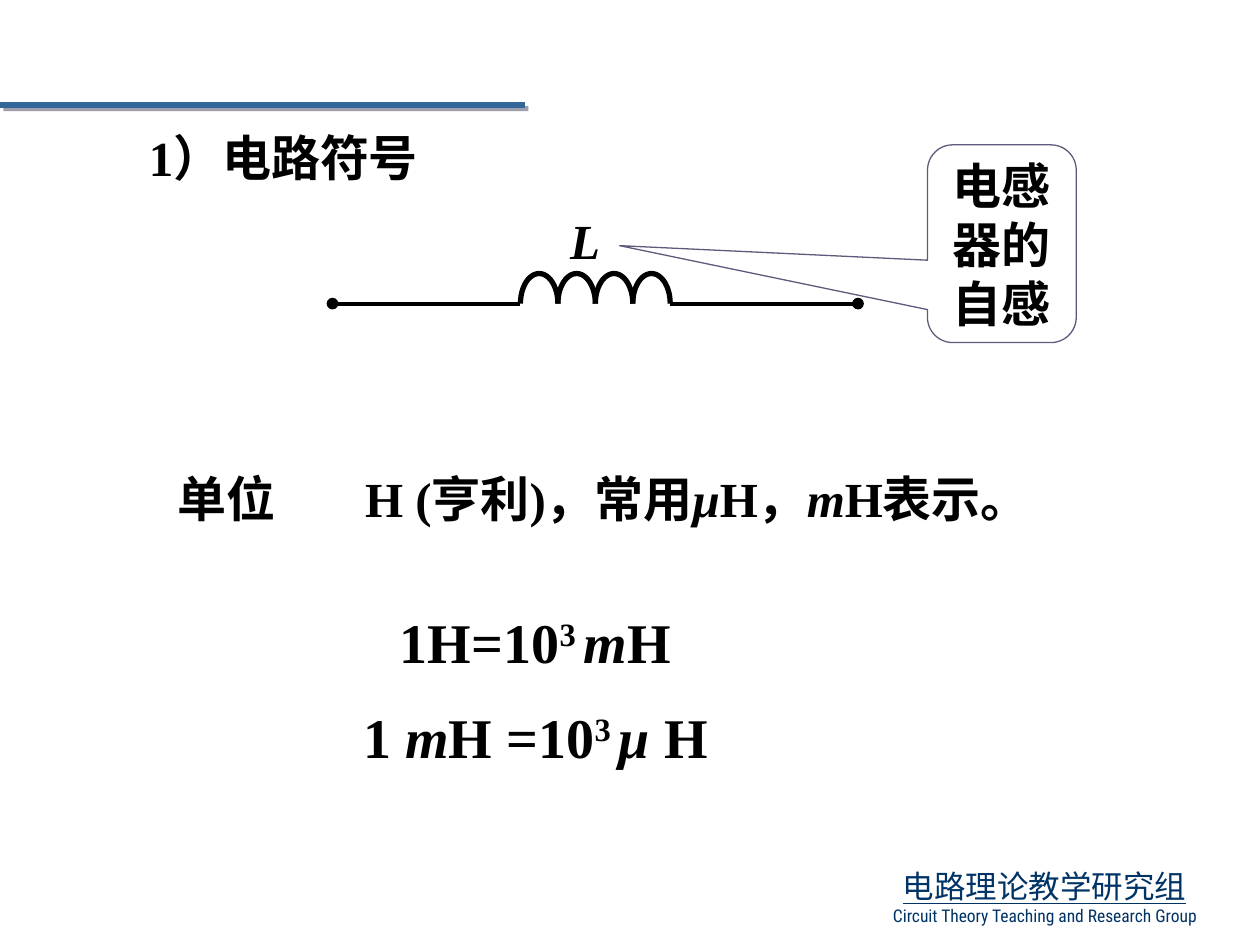
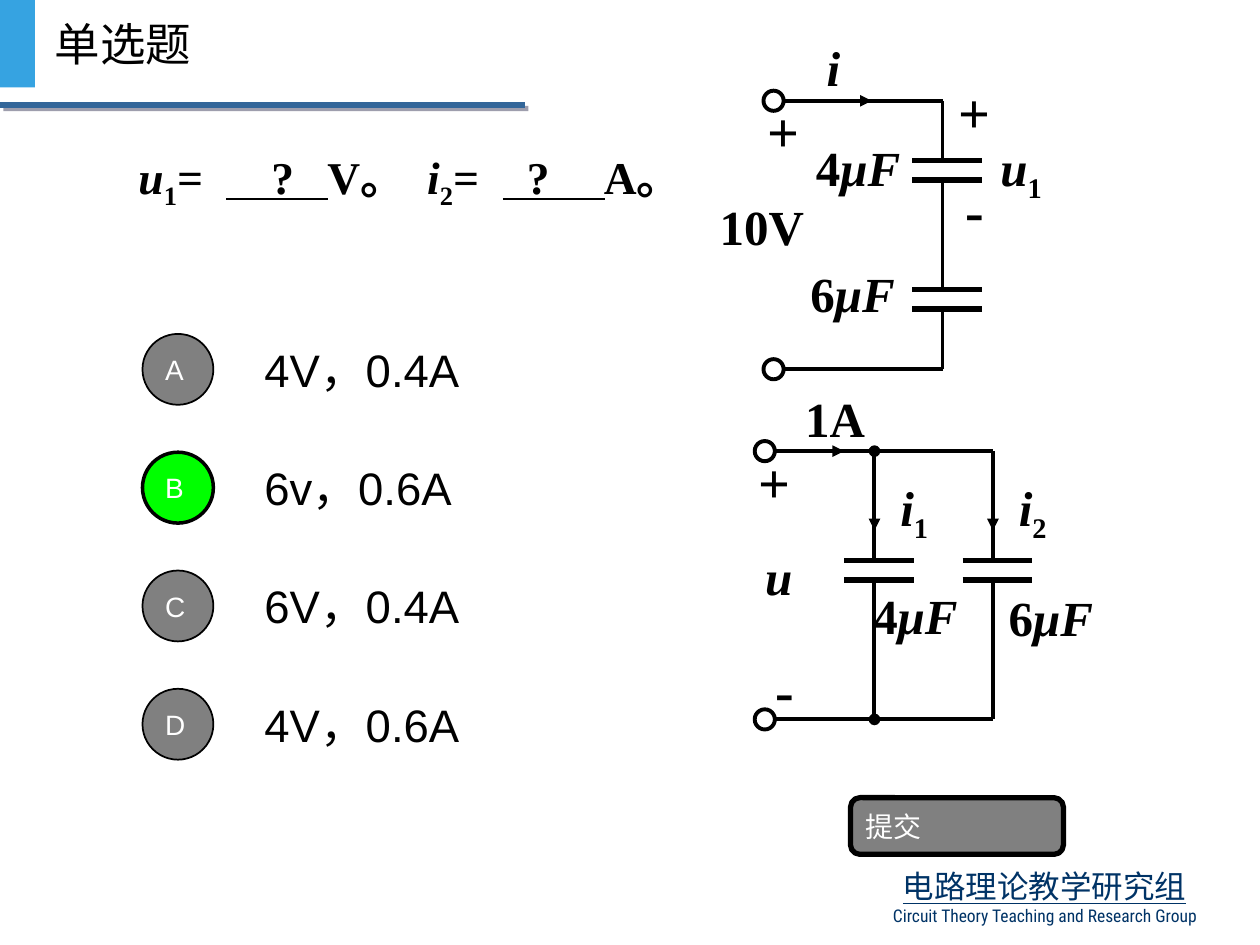
from dataclasses import dataclass
from math import cos, pi, sin
from typing import NamedTuple

from lxml.etree import SubElement
from pptx import Presentation
from pptx.dml.color import RGBColor
from pptx.enum.shapes import MSO_CONNECTOR, MSO_SHAPE
from pptx.enum.text import MSO_ANCHOR, MSO_AUTO_SIZE, PP_ALIGN
from pptx.oxml.ns import qn
from pptx.shapes.autoshape import Shape
from pptx.shapes.connector import Connector
from pptx.slide import Slide
from pptx.text.text import TextFrame
from pptx.util import Pt


@dataclass(frozen=True)
class Theme:
    """Colours, fonts, type sizes and line widths of the deck."""
    ink: RGBColor = RGBColor(0, 0, 0)
    paper: RGBColor = RGBColor(255, 255, 255)
    navy: RGBColor = RGBColor(0x00, 0x33, 0x66)
    band: RGBColor = RGBColor(0x33, 0x66, 0x99)
    tag: RGBColor = RGBColor(0x36, 0xA3, 0xE1)
    callout: RGBColor = RGBColor(0x60, 0x59, 0x7B)
    idle: RGBColor = RGBColor(0x80, 0x80, 0x80)
    chosen: RGBColor = RGBColor(0x00, 0xFF, 0x00)
    band_shadow: str = "3E3E5C"
    serif: str = "Times New Roman"
    sans: str = "Arial"
    chinese: str = "Noto Sans CJK SC"
    condensed: str = "Roboto Condensed"
    equation: float = 32
    label: float = 28
    quiz: float = 26
    footer: float = 18
    button: float = 16
    footer_small: float = 10
    wire: float = 2.25
    plate: float = 3


THEME = Theme()


class Span(NamedTuple):
    """A run of text; baseline is a percentage."""
    text: str
    italic: bool = False
    baseline: int = 0


class Style(NamedTuple):
    """Character format of a paragraph."""
    size: float = THEME.label
    font: str = THEME.serif
    bold: bool = True
    color: RGBColor = THEME.ink
    underline: bool = False


class Box(NamedTuple):
    """A place on the slide, in points."""
    left: float
    top: float
    width: float
    height: float


class Label(NamedTuple):
    """A centred circuit label."""
    box: Box
    spans: tuple[Span, ...]
    size: float = THEME.label


class Choice(NamedTuple):
    """One answer of the quiz."""
    letter: str
    answer: str
    chosen: bool = False


LABEL = Style()
QUIZ = Style(THEME.quiz)
ANSWER = Style(THEME.quiz, THEME.sans, False)
BUTTON = Style(THEME.button, THEME.sans, False, THEME.paper)


def lengths(box: Box) -> tuple[Pt, ...]:
    """Turn a box into lengths."""
    return tuple(Pt(value) for value in box)


def write(frame: TextFrame, lines: list[tuple[Span, ...]], style: Style,
          align: PP_ALIGN = PP_ALIGN.LEFT, half_space: bool = False,
          first: int = 0) -> None:
    """Write paragraphs run by run, the first at index first."""
    for number, spans in enumerate(lines, first):
        paragraph = frame.add_paragraph() if number else frame.paragraphs[0]
        paragraph.alignment = align
        if half_space:
            before = SubElement(paragraph._p.get_or_add_pPr(), qn("a:spcBef"))
            SubElement(before, qn("a:spcPct"), val="50000")
        for span in spans:
            run = paragraph.add_run()
            run.text = span.text
            font = run.font
            font.size, font.name = Pt(style.size), style.font
            font.bold, font.italic = style.bold, span.italic
            font.color.rgb = style.color
            font.underline = style.underline
            properties = run._r.get_or_add_rPr()
            SubElement(properties, qn("a:ea"), typeface=THEME.chinese)
            if span.baseline:
                properties.set("baseline", str(span.baseline * 1000))


def add_text(slide: Slide, box: Box, lines: list[tuple[Span, ...]], style: Style,
             align: PP_ALIGN = PP_ALIGN.LEFT, anchor: MSO_ANCHOR = MSO_ANCHOR.TOP,
             half_space: bool = False, grow: bool = True) -> TextFrame:
    """Add a wrapping text box."""
    frame = slide.shapes.add_textbox(*lengths(box)).text_frame
    frame.word_wrap = True
    frame.vertical_anchor = anchor
    frame.auto_size = MSO_AUTO_SIZE.SHAPE_TO_FIT_TEXT if grow else MSO_AUTO_SIZE.NONE
    write(frame, lines, style, align, half_space)
    return frame


def set_title(slide: Slide, box: Box, text: str, style: Style, indent: float) -> None:
    """Move and fill the title placeholder."""
    title = slide.shapes.title
    title.left, title.top, title.width, title.height = lengths(box)
    frame = title.text_frame
    frame.auto_size, frame.vertical_anchor = MSO_AUTO_SIZE.NONE, MSO_ANCHOR.MIDDLE
    frame.margin_left, frame.margin_right = Pt(indent), Pt(0)
    write(frame, [(Span(text),)], style)


def add_line(slide: Slide, start: tuple[float, float], end: tuple[float, float],
             width: float = THEME.wire, color: RGBColor = THEME.ink,
             head: str = "", tail: str = "") -> Connector:
    """Add a straight line with optional ends and no shadow."""
    line = slide.shapes.add_connector(MSO_CONNECTOR.STRAIGHT, *map(Pt, start + end))
    line.line.width = Pt(width)
    line.line.color.rgb = color
    outline = line.element.spPr.find(qn("a:ln"))
    for side, kind in (("a:headEnd", head), ("a:tailEnd", tail)):
        if kind:
            SubElement(outline, qn(side), type=kind)
    SubElement(line.element.spPr, qn("a:effectLst"))
    return line


def paint(shape: Shape, fill: RGBColor | None, color: RGBColor | None, width: float = 0) -> None:
    """Set fill and outline, and drop the shadow."""
    shape.shadow.inherit = False
    if fill is None:
        shape.fill.background()
    else:
        shape.fill.solid()
        shape.fill.fore_color.rgb = fill
    if color is None:
        shape.line.fill.background()
    else:
        shape.line.color.rgb = color
        shape.line.width = Pt(width)


def add_button(slide: Slide, kind: MSO_SHAPE, box: Box, text: str,
               fill: RGBColor, outline: float) -> None:
    """Add a quiz button with left-aligned text."""
    button = slide.shapes.add_shape(kind, *lengths(box))
    paint(button, fill, THEME.ink, outline)
    write(button.text_frame, [(Span(text),)], BUTTON)


def add_frame(slide: Slide) -> None:
    """Draw the band and the footer that all slides share."""
    band = add_line(slide, (0, 60), (300, 60), 3, THEME.band)
    effects = band.element.spPr.find(qn("a:effectLst"))
    shadow = SubElement(effects, qn("a:outerShdw"), blurRad="0", dist=str(Pt(2.8)), dir="2700000")
    shade = SubElement(shadow, qn("a:srgbClr"), val=THEME.band_shadow)
    SubElement(shade, qn("a:alpha"), val="50000")
    footer = add_text(slide, Box(486, 492, 222, 41), [(Span("电路理论教学研究组"),)],
                      Style(THEME.footer, THEME.chinese, False, THEME.navy, True), PP_ALIGN.CENTER)
    write(footer, [(Span("Circuit Theory Teaching and Research Group"),)],
          Style(THEME.footer_small, THEME.condensed, False, THEME.navy), PP_ALIGN.CENTER, first=1)


def add_labels(slide: Slide, labels: list[Label]) -> None:
    """Write the labels of a circuit."""
    for label in labels:
        add_text(slide, label.box, [label.spans], Style(label.size), PP_ALIGN.CENTER, half_space=True)


def add_coil(slide: Slide, left: float, base: float, turn: float, height: float, turns: int) -> None:
    """Draw a coil as a row of half ellipses."""
    steps = 24
    for number in range(turns):
        middle = left + turn * (number + 0.5)
        points = [(Pt(middle - turn / 2 * cos(pi * step / steps)),
                   Pt(base - height * sin(pi * step / steps))) for step in range(steps + 1)]
        outline = slide.shapes.build_freeform(*points[0])
        outline.add_line_segments(points[1:], close=False)
        paint(outline.convert_to_shape(), None, THEME.ink, 3)


def add_terminal_wire(slide: Slide, left: float, y: float, right: float) -> None:
    """Draw an open terminal and the wire that leaves it."""
    size = 11.5
    terminal = slide.shapes.add_shape(MSO_SHAPE.OVAL, *lengths(Box(left, y - size / 2, size, size)))
    paint(terminal, None, THEME.ink, THEME.wire)
    add_line(slide, (left + size, y), (right, y))


def add_capacitors(slide: Slide, x: float, top: float, bottom: float,
                   plates: list[float], node: str = "") -> None:
    """Draw a vertical branch with a capacitor at each plate height."""
    gap = 11.2
    starts = [top] + [plate + gap for plate in plates]
    ends = plates + [bottom]
    for number, (start, end) in enumerate(zip(starts, ends)):
        add_line(slide, (x, start), (x, end), head="" if number else node,
                 tail=node if end == bottom else "")
    for plate in plates:
        for y in (plate, plate + gap):
            add_line(slide, (x - 17.3, y), (x + 22.5, y), THEME.plate)


def capacitance(value: str) -> tuple[Span, ...]:
    """Return a capacitance in microfarads."""
    return Span(value), Span("μF", True)


def indexed(symbol: str, index: str) -> tuple[Span, ...]:
    """Return an italic symbol with a subscript."""
    return Span(symbol, True), Span(index, baseline=-25)


def build_inductor(slide: Slide) -> None:
    """Circuit symbol and units of the inductor."""
    set_title(slide, Box(54, 69, 205, 41), "1）电路符号", LABEL, 31)
    add_text(slide, Box(201.6, 264, 476, 41),
             [(Span("H (亨利)，常用"), Span("μ", True), Span("H，"), Span("m", True), Span("H表示。"))],
             LABEL, anchor=MSO_ANCHOR.MIDDLE, half_space=True)
    unit = add_text(slide, Box(70.6, 264, 113, 41), [(Span("单位"),)], LABEL, half_space=True)
    unit.margin_left = Pt(31)
    callout = slide.shapes.add_shape(MSO_SHAPE.ROUNDED_RECTANGULAR_CALLOUT,
                                     *lengths(Box(530, 82.8, 85, 113)))
    for number, value in enumerate((-2.57, 0.01, 0.17)):
        callout.adjustments[number] = value
    paint(callout, None, THEME.callout, 0.75)
    write(callout.text_frame, [(Span("电感器的自感"),)], LABEL, PP_ALIGN.CENTER)
    cube = Span("3 ", baseline=30)
    add_text(slide, Box(172.8, 343.4, 266.4, 103),
             [(Span("1H=10"), cube, Span("m", True), Span("H")),
              (Span("1 "), Span("m", True), Span("H =10"), cube, Span("μ ", True), Span("H"))],
             Style(THEME.equation), PP_ALIGN.CENTER, half_space=True)
    add_labels(slide, [Label(Box(303, 116.6, 62.6, 41), (Span("L", True),))])
    left, base, turn, turns = 297.4, 173.5, 21.4, 4
    add_coil(slide, left, base, turn, 17.2, turns)
    add_line(slide, (190, base), (left, base), head="oval")
    add_line(slide, (left + turn * turns, base), (490.3, base), tail="oval")


def build_quiz(slide: Slide) -> None:
    """Single-choice question on two capacitor circuits."""
    tag = slide.shapes.add_shape(MSO_SHAPE.RECTANGLE, *lengths(Box(0, 0, 20, 50)))
    paint(tag, THEME.tag, None)
    set_title(slide, Box(24, 0, 100, 50), "单选题", ANSWER, 7.2)

    tab = Span("\t")
    question = add_text(slide, Box(72, 34, 594, 138),
                        [(*indexed("u", "1"), Span("=", True), tab, Span("?"), tab, Span("V。"), tab,
                          *indexed("i", "2"), Span("=", True), tab, Span("?"), tab, Span("A。"))],
                        QUIZ, anchor=MSO_ANCHOR.MIDDLE, grow=False)
    stops = SubElement(question.paragraphs[0]._p.get_or_add_pPr(), qn("a:tabLst"))
    for position in (76, 108, 165, 222, 266):
        SubElement(stops, qn("a:tab"), pos=str(Pt(position)), algn="l")
    for blank in (129.2, 287.4):
        add_line(slide, (blank, 113.7), (blank + 58.3, 113.7), 1.25)

    choices = [Choice("A", "4V，0.4A"), Choice("B", "6v，0.6A", True),
               Choice("C", "6V，0.4A"), Choice("D", "4V，0.6A")]
    for number, choice in enumerate(choices):
        top = 185.8 + 67.6 * number
        add_text(slide, Box(144, top, 240, 50.4), [(Span(choice.answer),)], ANSWER,
                 anchor=MSO_ANCHOR.MIDDLE, grow=False)
        add_button(slide, MSO_SHAPE.OVAL, Box(81.4, top + 5, 40.5, 40.5), choice.letter,
                   THEME.chosen if choice.chosen else THEME.idle, 2 if choice.chosen else 1)
    add_button(slide, MSO_SHAPE.ROUNDED_RECTANGLE, Box(486, 455.8, 121.7, 32.4), "提交", THEME.idle, 3)

    series_x, series_top, series_bottom = 538.6, 57.6, 211
    for y in (series_top, series_bottom):
        add_terminal_wire(slide, 436.3, y, series_x)
    add_capacitors(slide, series_x, series_top, series_bottom, [91.6, 165.4])
    add_line(slide, (458.6, series_top), (498.2, series_top), tail="triangle")

    parallel_top, parallel_bottom = 257.8, 411.1
    for y in (parallel_top, parallel_bottom):
        add_terminal_wire(slide, 431.3, y, 567.4)
    for x, node in ((499.7, "oval"), (567.4, "")):
        add_capacitors(slide, x, parallel_top, parallel_bottom, [320.2], node)
        add_line(slide, (x, 275), (x, 303.1), tail="triangle")
    add_line(slide, (459.4, parallel_top), (482.4, parallel_top), tail="triangle")

    plus, minus, sign = (Span("+"),), (Span("-"),), THEME.equation
    add_labels(slide, [
        Label(Box(555, 75, 57, 41), indexed("u", "1")),
        Label(Box(400.3, 108.7, 70, 41), (Span("10V"),)),
        Label(Box(452.2, 147, 70, 41), capacitance("6")),
        Label(Box(453.6, 75, 73.4, 41), capacitance("4")),
        Label(Box(447.8, 18, 57, 41), (Span("i", True),)),
        Label(Box(540, 41, 34, 45), plus, sign),
        Label(Box(430.6, 51.8, 34, 45), plus, sign),
        Label(Box(540, 96.5, 34, 45), minus, sign),
        Label(Box(561.6, 269.3, 57, 41), indexed("i", "2")),
        Label(Box(493.9, 269.3, 57, 41), indexed("i", "1")),
        Label(Box(412.6, 308.9, 64.8, 41), (Span("u", True),)),
        Label(Box(448.6, 218.2, 57, 41), (Span("1A"),)),
        Label(Box(488.9, 331.2, 68.4, 41), capacitance("4")),
        Label(Box(564.8, 331.9, 71.4, 41), capacitance("6")),
        Label(Box(425.5, 252, 34, 45), plus, sign),
        Label(Box(431.3, 370.8, 34, 45), minus, sign),
    ])


def main() -> None:
    """Build and save the deck."""
    deck = Presentation()
    deck.slide_width, deck.slide_height = Pt(720), Pt(540)
    for build in (build_inductor, build_quiz):
        slide = deck.slides.add_slide(deck.slide_layouts[5])
        add_frame(slide)
        build(slide)
    deck.save("out.pptx")


main()
